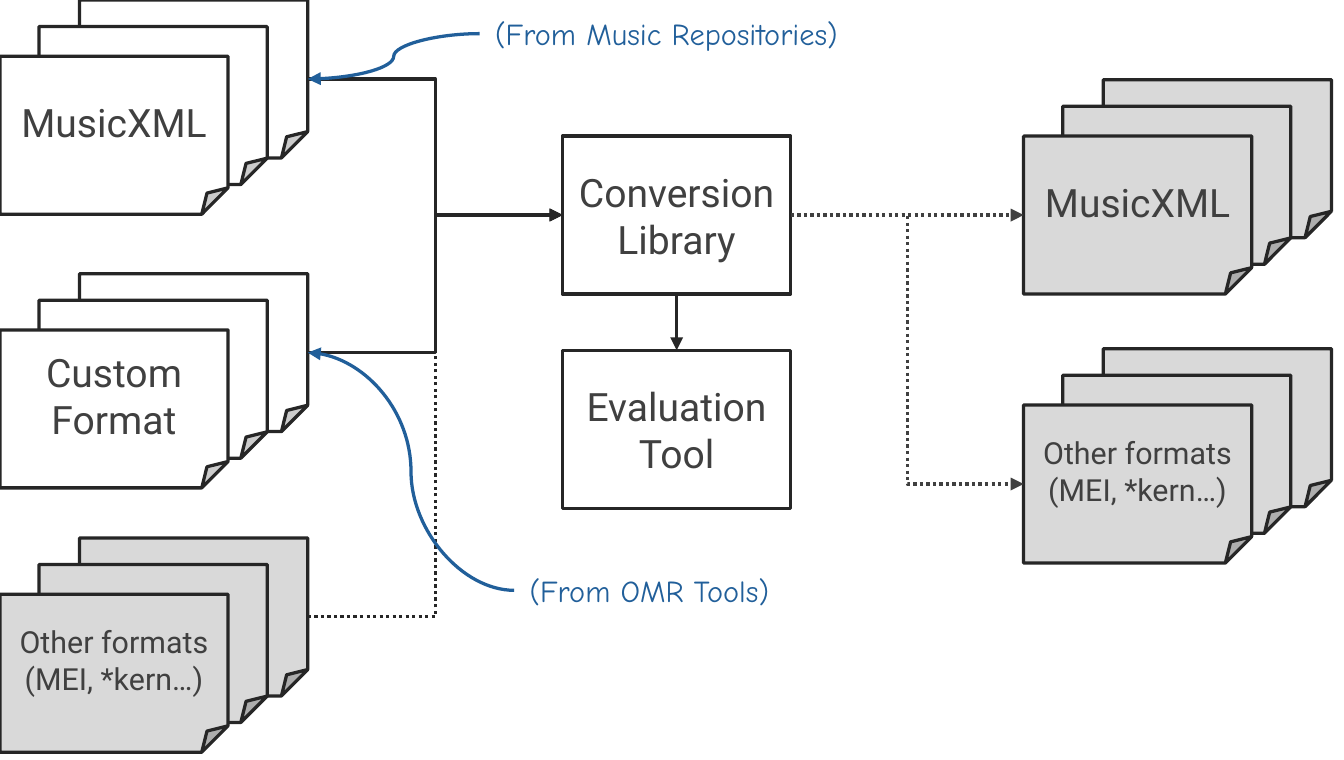
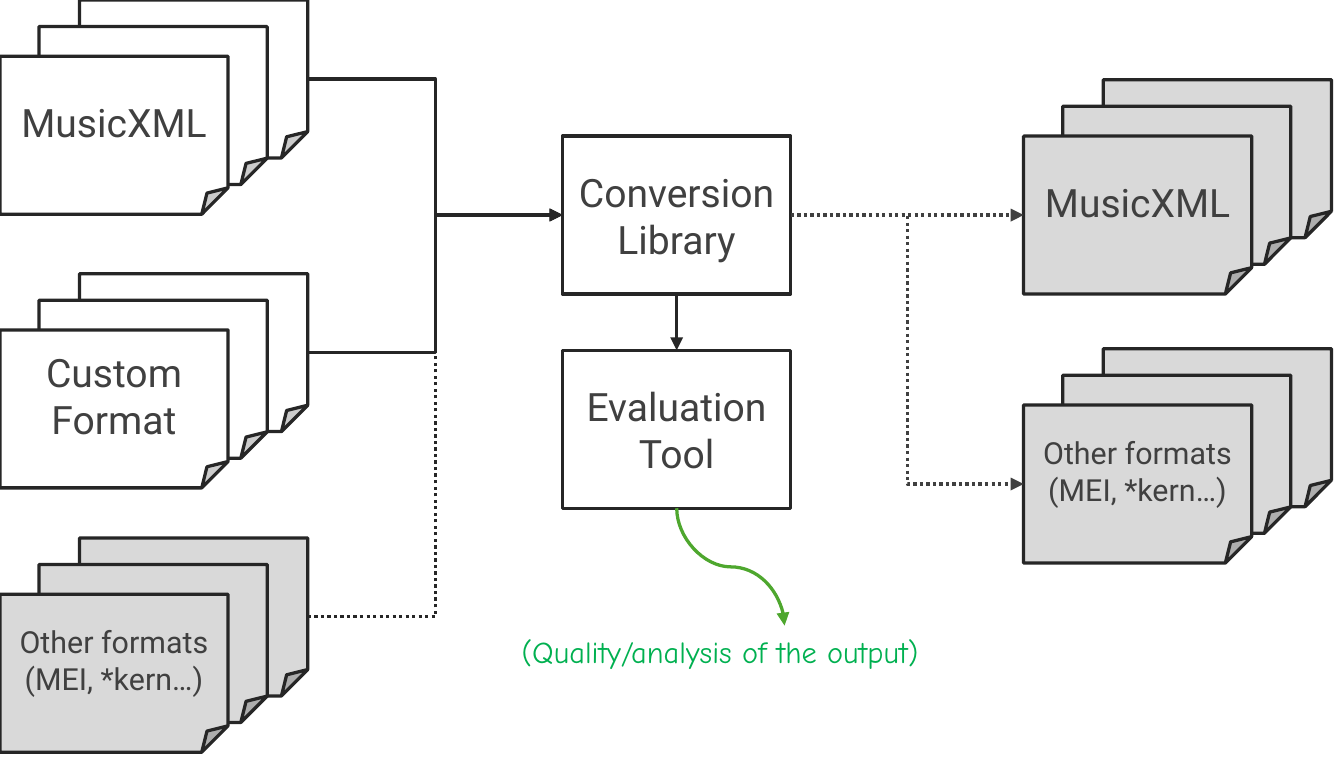
from dataclasses import dataclass

from lxml import etree
from pptx import Presentation
from pptx import util as u
from pptx.dml.color import RGBColor
from pptx.enum import dml, shapes, text
from pptx.oxml.ns import qn


@dataclass(frozen=True)
class Theme:
    paper: str = "FFFFFF"
    optional: str = "D9D9D9"
    ink: str = "262626"
    words: str = "404040"
    source: str = "215F9A"
    result: str = "00B050"
    result_arrow: str = "4EA72E"
    label_font: str = "Roboto"
    note_font: str = "Comic Neue"
    large: int = 18
    small: int = 14
    stroke: float = 1.5


THEME = Theme()
BOX_WIDTH, BOX_HEIGHT = 1.46, 1.01
PAGE_OFFSETS = ((0.51, 0), (0.25, 0.17), (0, 0.36))
TOP, LEFT, BOTTOM, RIGHT = range(4)
ELBOW, CURVE = shapes.MSO_CONNECTOR.ELBOW, shapes.MSO_CONNECTOR.CURVE


def write(frame, words, font, size, color, align):
    frame.text = words
    frame.word_wrap = True
    for paragraph in frame.paragraphs:
        paragraph.alignment = align
        for run in paragraph.runs:
            run.font.name = font
            run.font.size = u.Pt(size)
            run.font.color.rgb = RGBColor.from_string(color)


def stroke(line, color):
    line.color.rgb = RGBColor.from_string(color)
    line.width = u.Pt(THEME.stroke)


def add_box(slide, left, top, words="", size=THEME.large, fill=THEME.paper,
            outline=shapes.MSO_SHAPE.RECTANGLE):
    box = slide.shapes.add_shape(outline, u.Inches(left), u.Inches(top),
                                 u.Inches(BOX_WIDTH), u.Inches(BOX_HEIGHT))
    box.shadow.inherit = False
    box.fill.solid()
    box.fill.fore_color.rgb = RGBColor.from_string(fill)
    stroke(box.line, THEME.ink)
    if words:
        frame = box.text_frame
        frame.margin_left = frame.margin_right = u.Inches(0.05)
        frame.vertical_anchor = text.MSO_ANCHOR.MIDDLE
        write(frame, words, THEME.label_font, size, THEME.words, text.PP_ALIGN.CENTER)
    return box


def add_stack(slide, left, top, words, size=THEME.large, fill=THEME.paper):
    pages = [add_box(slide, left + right_shift, top + down_shift,
                     words if right_shift == 0 else "", size, fill,
                     shapes.MSO_SHAPE.FOLDED_CORNER)
             for right_shift, down_shift in PAGE_OFFSETS]
    return pages[0], pages[-1]


def finish_arrow(arrow, color, dotted=False):
    stroke(arrow.line, color)
    if dotted:
        arrow.line.dash_style = dml.MSO_LINE.ROUND_DOT
    properties = arrow.element.spPr
    etree.SubElement(properties.find(qn("a:ln")), qn("a:tailEnd"), type="triangle")
    etree.SubElement(properties, qn("a:effectLst"))


def link(slide, start, start_side, end, end_side, kind=ELBOW, color=THEME.ink, dotted=False):
    arrow = slide.shapes.add_connector(kind, 0, 0, 0, 0)
    arrow.begin_connect(start, start_side)
    arrow.end_connect(end, end_side)
    finish_arrow(arrow, color, dotted)


def add_note(slide, left, top, width, words, color):
    note = slide.shapes.add_textbox(u.Inches(left), u.Inches(top),
                                    u.Inches(width), u.Inches(0.33))
    write(note.text_frame, words, THEME.note_font, THEME.small, color, text.PP_ALIGN.LEFT)
    return note


def add_pipeline(slide):
    others = "Other formats\n(MEI, *kern…)"
    library = add_box(slide, 3.6, 0.87, "Conversion\nLibrary")
    evaluation = add_box(slide, 3.6, 2.24, "Evaluation Tool")
    music_in, _ = add_stack(slide, 0, 0, "MusicXML")
    custom_in, _ = add_stack(slide, 0, 1.75, "Custom Format")
    others_in, _ = add_stack(slide, 0, 3.44, others, THEME.small, THEME.optional)
    _, music_out = add_stack(slide, 6.55, 0.51, "MusicXML", fill=THEME.optional)
    _, others_out = add_stack(slide, 6.55, 2.23, others, THEME.small, THEME.optional)

    for origin, dotted in ((custom_in, False), (music_in, False), (others_in, True)):
        link(slide, origin, RIGHT, library, LEFT, dotted=dotted)
    for target in (music_out, others_out):
        link(slide, library, RIGHT, target, LEFT, color=THEME.words, dotted=True)
    link(slide, library, BOTTOM, evaluation, TOP, shapes.MSO_CONNECTOR.STRAIGHT)
    return music_in, custom_in


def add_source_slide(slide):
    music_in, custom_in = add_pipeline(slide)
    repositories = add_note(slide, 3.07, 0.05, 2.89, "(From Music Repositories)", THEME.source)
    tools = add_note(slide, 3.29, 3.61, 2.08, "(From OMR Tools)", THEME.source)
    for note, stack in ((repositories, music_in), (tools, custom_in)):
        link(slide, note, LEFT, stack, RIGHT, CURVE, THEME.source)


def add_result_slide(slide):
    add_pipeline(slide)
    add_note(slide, 3.24, 4, 3.56, "(Quality/analysis of the output)", THEME.result)
    arrow = slide.shapes.add_connector(CURVE, u.Inches(5.05), u.Inches(3.28),
                                       u.Inches(4.3), u.Inches(3.97))
    arrow.element.spPr.find(qn("a:xfrm")).set("rot", str(270 * 60000))
    finish_arrow(arrow, THEME.result_arrow)


def main():
    deck = Presentation()
    deck.slide_width, deck.slide_height = u.Inches(8.6), u.Inches(4.86)
    blank = deck.slide_layouts[6]
    for build in (add_source_slide, add_result_slide):
        build(deck.slides.add_slide(blank))
    deck.save("out.pptx")


if __name__ == "__main__":
    main()
